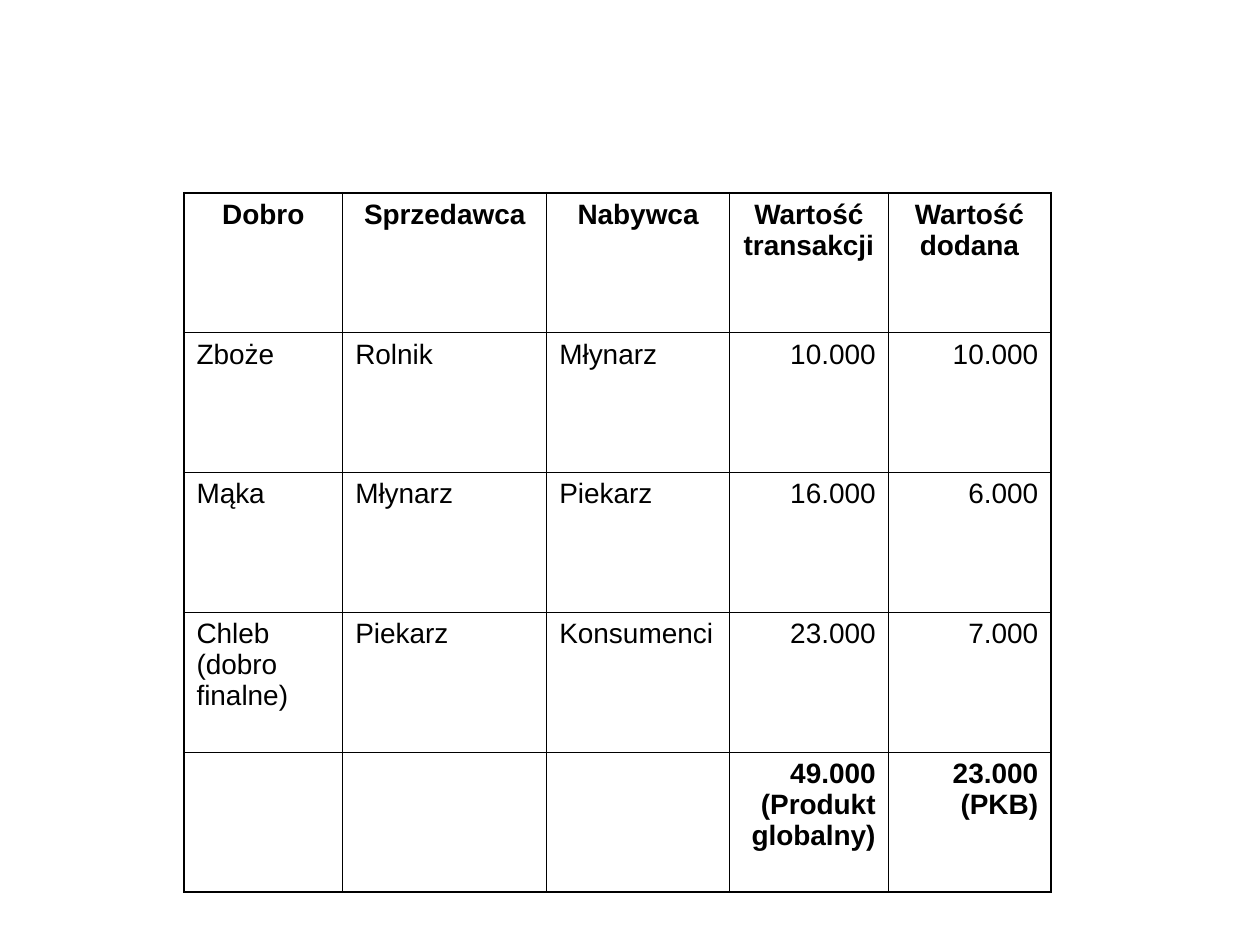
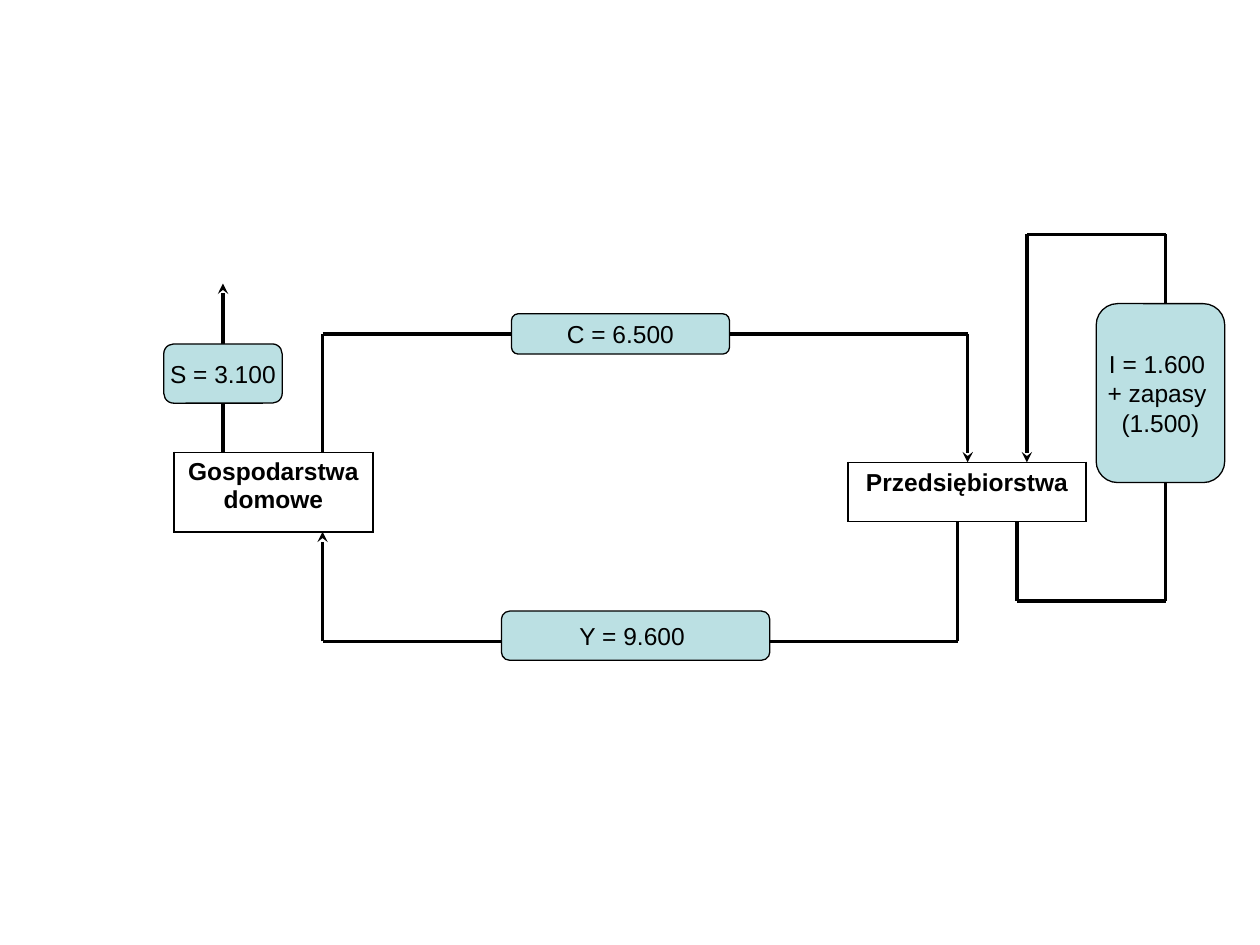
from pptx import Presentation
from pptx.dml.color import RGBColor
from pptx.enum.shapes import MSO_CONNECTOR as Line, MSO_SHAPE as Shape
from pptx.enum.text import MSO_ANCHOR as Anchor, PP_ALIGN as Align
from pptx.oxml.ns import qn
from pptx.util import Inches, Pt
from lxml.etree import SubElement

FONT = "Arial"
BLACK, TEAL = "000000", "BBE0E3"
THIN, THICK = 0.45, 1.08


def style(frame, size, align, bold=False, before=0):
    """Format every paragraph and run of a text frame."""
    for para in frame.paragraphs:
        para.alignment = align
        para.space_before = Pt(before)
        for run in para.runs:
            font = run.font
            font.name, font.size, font.bold = FONT, Pt(size), bold
            font.color.rgb = RGBColor.from_string(BLACK)


def add_grid(slide, left, top, widths, height, rows, size):
    """Add a table with a thick frame, thin inner lines and no fill."""
    frame = slide.shapes.add_table(
        len(rows), len(widths), Inches(left), Inches(top),
        Inches(sum(widths)), Inches(height * len(rows)))
    table = frame.table
    table.horz_banding = False
    for col, width in zip(table.columns, widths):
        col.width = Inches(width)
    last_row, last_col = len(rows) - 1, len(widths) - 1
    for r, row in enumerate(rows):
        table.rows[r].height = Inches(height)
        for c, text in enumerate(row):
            cell = table.cell(r, c)
            cell.text_frame.text = text
            if r == 0:
                align = Align.CENTER
            else:
                align = Align.RIGHT if c > 2 else Align.LEFT
            style(cell.text_frame, size, align,
                  bold=r in (0, last_row), before=size / 4)
            props = cell._tc.get_or_add_tcPr()
            edges = {"L": c == 0, "R": c == last_col,
                     "T": r == 0, "B": r == last_row}
            for side, outer in edges.items():
                edge = SubElement(props, qn("a:ln" + side),
                                  w=str(Pt(THICK if outer else THIN)))
                fill = SubElement(edge, qn("a:solidFill"))
                SubElement(fill, qn("a:srgbClr"), val=BLACK)
            cell.fill.background()


prs = Presentation()
prs.slide_width, prs.slide_height = Inches(10), Inches(7.5)
blank = prs.slide_layouts[6]

# Value added at each stage of making bread
goods = [
    ["Dobro", "Sprzedawca", "Nabywca", "Wartość transakcji", "Wartość dodana"],
    ["Zboże", "Rolnik", "Młynarz", "10.000", "10.000"],
    ["Mąka", "Młynarz", "Piekarz", "16.000", "6.000"],
    ["Chleb (dobro finalne)", "Piekarz", "Konsumenci", "23.000", "7.000"],
    ["", "", "", "49.000 (Produkt globalny)", "23.000 (PKB)"],
]
slide = prs.slides.add_slide(blank)
add_grid(slide, 1.46, 1.53, [1.26, 1.62, 1.45, 1.26, 1.29], 1.11, goods, 16)

# Circular flow between households and firms
slide = prs.slides.add_slide(blank)
add_grid(slide, 1.38, 3.59, [1.58], 0.63, [["Gospodarstwa domowe"]], 14)
add_grid(slide, 6.73, 3.67, [1.89], 0.47, [["Przedsiębiorstwa"]], 14)

# Each route is a chain of corners that ends in an arrowhead
routes = [
    [(1.77, 3.59), (1.77, 2.25)],
    [(2.56, 3.59), (2.56, 2.65), (7.68, 2.65), (7.68, 3.67)],
    [(7.6, 4.14), (7.6, 5.09), (2.56, 5.09), (2.56, 4.22)],
    [(8.07, 4.14), (8.07, 4.77), (9.25, 4.77), (9.25, 1.86),
     (8.15, 1.86), (8.15, 3.67)],
]
for route in routes:
    for start, end in zip(route, route[1:]):
        link = slide.shapes.add_connector(
            Line.STRAIGHT, *[Inches(n) for n in start + end])
        link.line.width = Pt(2)
        link.line.color.rgb = RGBColor.from_string(BLACK)
        props = link._element.spPr
        if end == route[-1]:
            SubElement(props.find(qn("a:ln")), qn("a:tailEnd"), type="stealth")
        SubElement(props, qn("a:effectLst"))

flows = [
    ("S = 3.100", 1.3, 2.73, 0.94, 0.47),
    ("C = 6.500", 4.06, 2.49, 1.73, 0.32),
    ("Y = 9.600 ", 3.98, 4.85, 2.13, 0.39),
    ("I = 1.600 \v+ zapasy \v(1.500)", 8.7, 2.41, 1.02, 1.42),
]
for text, *place in flows:
    box = slide.shapes.add_shape(
        Shape.ROUNDED_RECTANGLE, *[Inches(n) for n in place])
    box.shadow.inherit = False
    box.fill.solid()
    box.fill.fore_color.rgb = RGBColor.from_string(TEAL)
    box.line.color.rgb = RGBColor.from_string(BLACK)
    box.line.width = Pt(0.75)
    frame = box.text_frame
    frame.word_wrap = False
    frame.vertical_anchor = Anchor.MIDDLE
    frame.text = text
    style(frame, 14, Align.CENTER)

prs.save("out.pptx")
